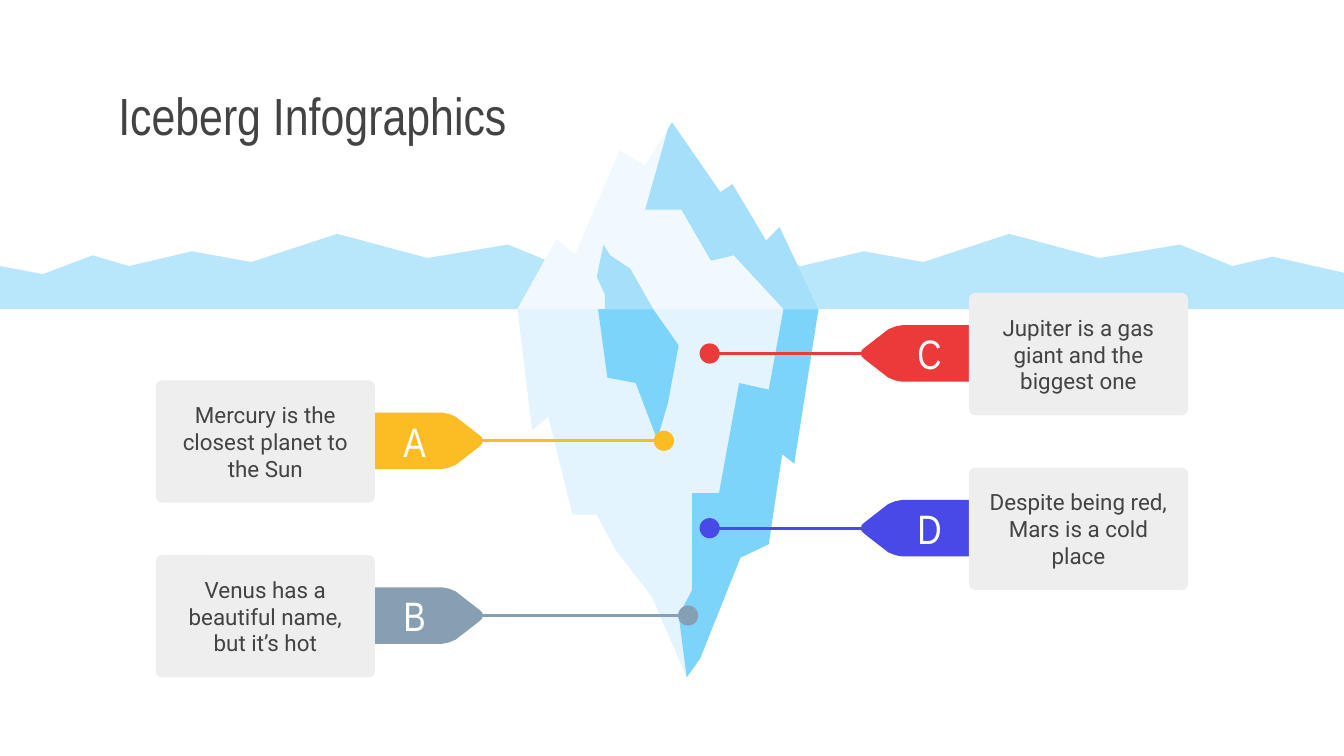
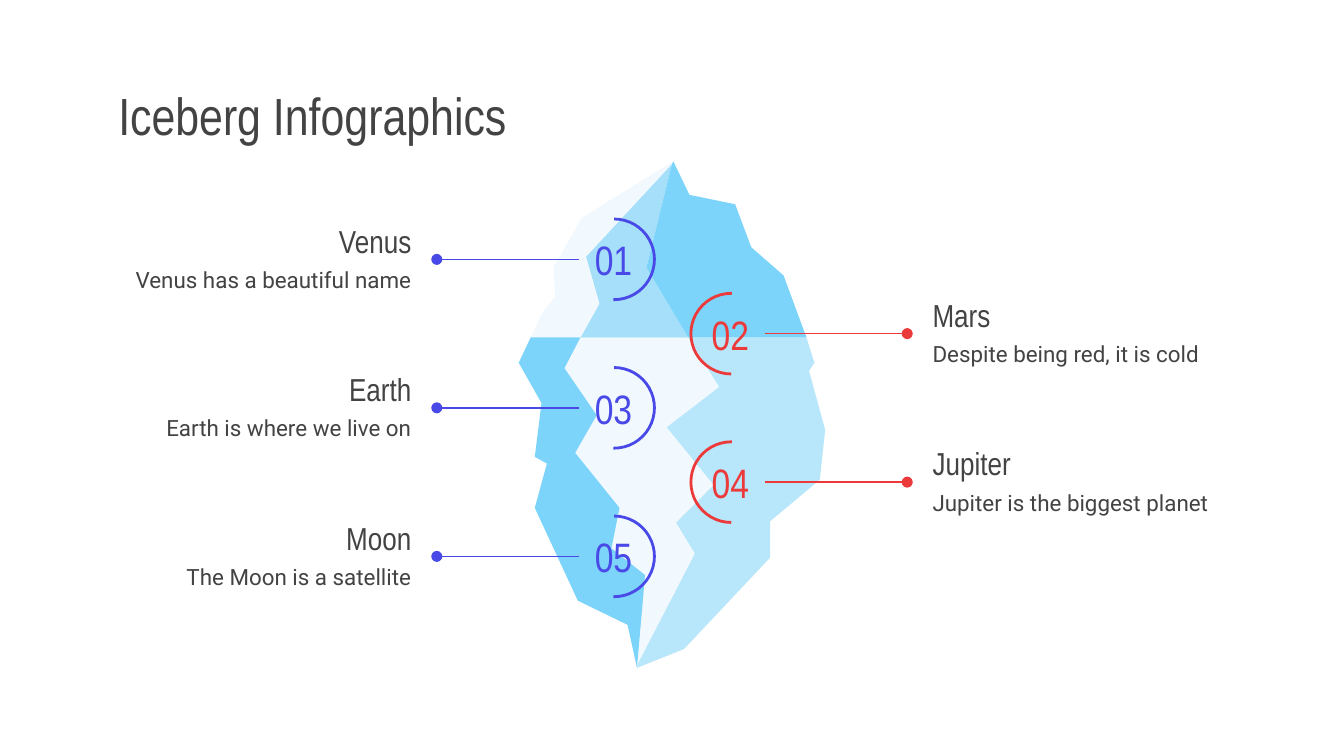
import pptx
import pptx.dml.color
import pptx.enum.shapes
import pptx.enum.text
import pptx.oxml
import pptx.oxml.ns
import pptx.shapes.connector
import pptx.util
from pptx.util import Inches

COLORS = {
    "text": "434343", "white": "FFFFFF", "card": "EEEEEE",
    "yellow": "FCBD24", "gray": "869FB2", "red": "EC3A3B", "indigo": "4949E7",
    "frost": "F1F9FE", "mist": "E3F4FE", "pale": "B8E6FA", "ice": "A5DFF9", "sky": "7CD4FB",
}
RGB = {name: pptx.dml.color.RGBColor.from_string(value) for name, value in COLORS.items()}
HEADING_FONT, BODY_FONT = "Arial Narrow", "Roboto"
ALIGN = pptx.enum.text.PP_ALIGN
SHAPE = pptx.enum.shapes.MSO_SHAPE
STRAIGHT = pptx.enum.shapes.MSO_CONNECTOR.STRAIGHT
SLIDE_WIDTH = 10


def write_text(shape, text, font, size, color="text", align=ALIGN.CENTER):
    frame = shape.text_frame
    frame.text = text
    frame.word_wrap = True
    frame.auto_size = pptx.enum.text.MSO_AUTO_SIZE.NONE
    frame.vertical_anchor = pptx.enum.text.MSO_ANCHOR.MIDDLE
    frame.margin_left = frame.margin_right = Inches(0.1)
    frame.margin_top = frame.margin_bottom = Inches(0.1)
    para = frame.paragraphs[0]
    para.alignment = align
    span = para.runs[0]
    span.font.name = font
    span.font.size = pptx.util.Pt(size)
    span.font.color.rgb = RGB[color]


def add_facet(slide, points, color):
    """Draw a closed, filled polygon from points in inches."""
    corners = [(Inches(x), Inches(y)) for x, y in points]
    builder = slide.shapes.build_freeform(*corners[0])
    builder.add_line_segments(corners[1:], close=True)
    facet = builder.convert_to_shape()
    facet.fill.solid()
    facet.fill.fore_color.rgb = RGB[color]
    facet.line.fill.background()
    return facet


deck = pptx.Presentation()
deck.slide_width, deck.slide_height = Inches(SLIDE_WIDTH), Inches(SLIDE_WIDTH * 9 / 16)

slides = []
for title_width in (3.81, 8.45):
    slide = deck.slides.add_slide(deck.slide_layouts[5])
    title = slide.shapes.title
    title.left, title.top = Inches(0.78), Inches(0.59)
    title.width, title.height = Inches(title_width), Inches(0.53)
    write_text(title, "Iceberg Infographics", HEADING_FONT, 28, align=ALIGN.LEFT)
    slides.append(slide)
label_slide, number_slide = slides

# Slide 1: iceberg in the sea with four labelled cards
hills = [
    (2.51, 1.74), (1.87, 1.95), (1.43, 1.87), (0.96, 1.98), (0.69, 1.9), (0.32, 2.04),
    (0, 1.98), (0, 2.3), (10, 2.3), (10, 2.03), (9.47, 1.91), (9.17, 1.98), (8.78, 1.82),
    (8.18, 1.92), (7.51, 1.74), (6.87, 1.95), (6.43, 1.87), (5.96, 1.98), (5.69, 1.9),
    (5.31, 2.04), (4.53, 1.92), (4.46, 1.91), (4.17, 1.98), (3.78, 1.82), (3.18, 1.92),
]
sea = add_facet(label_slide, hills, "sky")
sea_color = sea.fill._xPr.find(".//" + pptx.oxml.ns.qn("a:srgbClr"))
alpha = pptx.oxml.parse_xml(f'<a:alpha {pptx.oxml.ns.nsdecls("a")} val="54000"/>')
sea_color.append(alpha)

deep_edge = [(5.11, 5.04), (5.21, 4.9), (5.51, 4.15), (5.72, 4.05), (5.82, 3.38),
             (5.91, 3.45), (6.09, 2.3)]
peak_edge = [(6.09, 2.3), (5.8, 1.69), (5.7, 1.79), (5.45, 1.37), (5.36, 1.43),
             (5, 0.91), (4.97, 0.96)]
label_iceberg = [
    ("mist", [(3.85, 2.3), (3.96, 3.2), (4.08, 3.1), (4.26, 3.83), (4.44, 3.83),
              (4.58, 4.09), (4.85, 4.44)] + deep_edge),
    ("sky", [(5.83, 2.3), (5.72, 2.9), (5.5, 2.85), (5.35, 3.67), (5.15, 3.67),
             (5.15, 4.39), (5.05, 4.58)] + deep_edge),
    ("sky", [(4.45, 2.3), (4.52, 2.81), (4.73, 2.85), (4.89, 3.27), (4.97, 3),
             (5.05, 2.57), (4.86, 2.3)]),
    ("frost", peak_edge + [(4.8, 1.23), (4.61, 1.12), (4.28, 1.89), (4.14, 1.78), (3.85, 2.3)]),
    ("ice", peak_edge + [(4.8, 1.56), (5.07, 1.56), (5.29, 1.94), (5.46, 1.9), (5.83, 2.3)]),
    ("ice", [(4.49, 1.82), (4.44, 2.06), (4.5, 2.19), (4.5, 2.3), (4.86, 2.3),
             (4.69, 2), (4.54, 1.9)]),
]
for color, points in label_iceberg:
    add_facet(label_slide, points, color)

# Upper half of a left tag, as x and height above its middle
tag_top = [(2.71, 0.21), (3.29, 0.21), (3.34, 0.2), (3.39, 0.18), (3.57, 0.04),
           (3.59, 0.02)]
tag_outline = [(x, -rise) for x, rise in tag_top] + [(x, rise) for x, rise in reversed(tag_top)]

dot_size = 0.15
cards = [
    ("A", "Mercury is the closest planet to the Sun", "yellow", "left", 3.28, 4.94),
    ("B", "Venus has a beautiful name, but it’s hot", "gray", "left", 4.58, 5.12),
    ("C", "Jupiter is a gas giant and the biggest one", "red", "right", 2.63, 5.28),
    ("D", "Despite being red, Mars is a cold place", "indigo", "right", 3.93, 5.28),
]
for letter, sentence, color, side, middle, dot_x in cards:
    on_left = side == "left"
    tag_tip = 3.55 if on_left else SLIDE_WIDTH - 3.55
    card_left = 1.16 if on_left else SLIDE_WIDTH - 1.16 - 1.63
    letter_left = 2.79 if on_left else SLIDE_WIDTH - 2.79 - 0.59

    pointer = label_slide.shapes.add_connector(
        STRAIGHT, Inches(tag_tip), Inches(middle), Inches(dot_x), Inches(middle))
    pointer.line.color.rgb = RGB[color]
    pointer.line.width = pptx.util.Pt(1.75)

    dot = label_slide.shapes.add_shape(
        SHAPE.OVAL, Inches(dot_x - dot_size / 2), Inches(middle - dot_size / 2),
        Inches(dot_size), Inches(dot_size))
    tag = add_facet(
        label_slide,
        [(x if on_left else SLIDE_WIDTH - x, middle + y) for x, y in tag_outline], color)
    card = label_slide.shapes.add_shape(
        SHAPE.ROUNDED_RECTANGLE,
        Inches(card_left), Inches(middle - 0.45), Inches(1.63), Inches(0.91))
    card.adjustments[0] = 0.05
    for shape, fill in ((dot, color), (card, "card")):
        shape.fill.solid()
        shape.fill.fore_color.rgb = RGB[fill]
        shape.line.fill.background()
    write_text(card, sentence, BODY_FONT, 12)

    letter_box = label_slide.shapes.add_textbox(
        Inches(letter_left), Inches(middle - 0.19), Inches(0.59), Inches(0.38))
    write_text(letter_box, letter, HEADING_FONT, 22, "white")

# Slide 2: iceberg with five numbered planets
left_ridge = [(4.32, 2.51), (4.2, 2.74), (4.44, 3.09), (4.28, 3.37)]
front_ridge = left_ridge + [(4.44, 3.62), (4.34, 3.91), (4.63, 4.41)]
number_iceberg = [
    ("pale", front_ridge + [(4.79, 4.69), (4.74, 4.97), (5.09, 4.83), (5.73, 4.15),
                            (5.73, 3.88), (6.1, 3.57), (6.14, 3.2), (6.02, 2.76),
                            (6.06, 2.7), (6, 2.51)]),
    ("frost", front_ridge + [(4.77, 4.69), (4.74, 4.95), (5.17, 4.12), (5.03, 3.89),
                             (5.31, 3.61), (4.96, 3.18), (5.35, 2.88), (5.12, 2.51)]),
    ("ice", [(5, 1.22), (4.36, 1.91), (4.46, 2.26), (4.32, 2.51), (5.12, 2.51), (4.81, 1.99)]),
    ("sky", [(5.01, 1.2), (5, 1.22), (4.81, 1.99), (5.12, 2.51), (6, 2.51), (5.83, 2.05),
             (5.59, 1.84), (5.47, 1.52), (5.13, 1.45)]),
    ("frost", [(5.01, 1.2), (4.33, 1.62), (4.12, 1.99), (4.13, 2.21), (4.04, 2.32),
               (3.95, 2.51), (4.32, 2.51), (4.46, 2.26), (4.36, 1.91), (5, 1.22)]),
    ("sky", [(3.95, 2.51), (3.86, 2.7), (4.03, 3), (3.98, 3.4), (4.07, 3.45), (3.98, 3.78),
             (4.3, 4.47), (4.67, 4.65), (4.74, 4.97), (4.8, 4.28), (4.55, 4.08),
             (4.61, 3.78)] + left_ridge[::-1]),
]
for color, points in number_iceberg:
    add_facet(number_slide, points, color)

planets = [
    ("Venus", "Venus has a beautiful name"),
    ("Mars", "Despite being red, it is cold"),
    ("Earth", "Earth is where we live on"),
    ("Jupiter", "Jupiter is the biggest planet"),
    ("Moon", "The Moon is a satellite"),
]
first_middle, last_middle = 1.93, 4.14
row_step = (last_middle - first_middle) / (len(planets) - 1)
for index, (name, sentence) in enumerate(planets):
    middle = first_middle + row_step * index
    if index % 2 == 0:
        color, align, rotation, joined_side = "indigo", ALIGN.RIGHT, 0, 1
        text_left, arc_left, number_left, dot_x = 0.78, 4.27, 4.31, 3.25
    else:
        color, align, rotation, joined_side = "red", ALIGN.LEFT, 180, 3
        text_left, arc_left, number_left, dot_x = 6.84, 5.14, 5.18, 6.75

    for text, rise, font, size in ((sentence, 0.05, BODY_FONT, 12),
                                   (name, 0.34, HEADING_FONT, 17)):
        text_box = number_slide.shapes.add_textbox(
            Inches(text_left), Inches(middle - rise), Inches(2.38), Inches(0.4))
        write_text(text_box, text, font, size, align=align)

    arc = number_slide.shapes.add_shape(
        SHAPE.ARC, Inches(arc_left), Inches(middle - 0.3), Inches(0.6), Inches(0.6))
    arc.adjustments[0], arc.adjustments[1] = 162, 54.56
    arc.rotation = rotation
    arc.fill.background()
    arc.line.color.rgb = RGB[color]
    arc.line.width = pptx.util.Pt(1.5)

    number_box = number_slide.shapes.add_textbox(
        Inches(number_left), Inches(middle - 0.2), Inches(0.51), Inches(0.4))
    write_text(number_box, f"{index + 1:02d}", HEADING_FONT, 22, color)

    pointer = number_slide.shapes.add_connector(
        STRAIGHT, Inches(number_left), Inches(middle), Inches(dot_x), Inches(middle))
    pointer.begin_connect(number_box, joined_side)
    pointer.line.color.rgb = RGB[color]
    pointer.line.width = pptx.util.Pt(0.75)
    oval_end = pptx.oxml.parse_xml(f'<a:tailEnd {pptx.oxml.ns.nsdecls("a")} type="oval"/>')
    pointer.line._get_or_add_ln().append(oval_end)

# No shape or connector casts a shadow
for slide in slides:
    for shape in slide.shapes:
        if isinstance(shape, pptx.shapes.connector.Connector):
            no_effects = pptx.oxml.parse_xml(f'<a:effectLst {pptx.oxml.ns.nsdecls("a")}/>')
            shape._element.spPr.append(no_effects)
        else:
            shape.shadow.inherit = False

deck.save("out.pptx")
